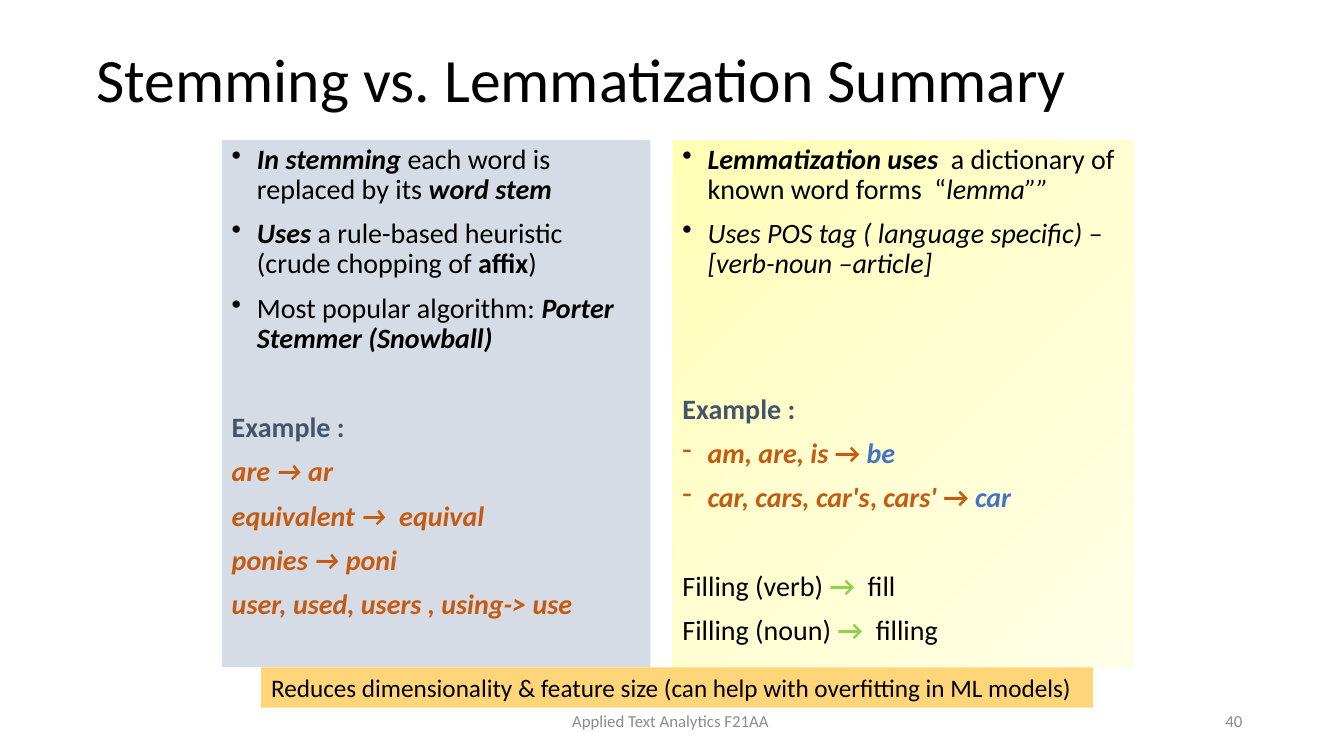
import copy
import pptx
import pptx.dml.color
import pptx.enum.shapes
import pptx.enum.text
import pptx.oxml
import pptx.util
from pptx.oxml.ns import qn

PX = 9144
BLACK, GREY = "000000", "8C8C8C"
SLATE, ORANGE, BLUE, GREEN = "44546A", "C55A11", "4472C4", "92D050"
ALIGN = pptx.enum.text.PP_ALIGN
ANCHOR = pptx.enum.text.MSO_ANCHOR


def color(value):
    return pptx.dml.color.RGBColor.from_string(value)


def add_text(frame, runs, size=20, bullet=None, before=0, spacing=1.0, align=ALIGN.LEFT):
    paragraph = frame.paragraphs[0]
    if paragraph.runs:
        paragraph = frame.add_paragraph()
    paragraph.alignment = align
    paragraph.line_spacing = spacing
    paragraph.space_before = pptx.util.Pt(before)
    if bullet:
        properties = paragraph._p.get_or_add_pPr()
        properties.set("marL", str(25 * PX))
        properties.set("indent", str(-25 * PX))
        mark = pptx.oxml.parse_xml(
            '<a:buChar xmlns:a="http://schemas.openxmlformats.org/drawingml/2006/main"/>')
        mark.set("char", bullet)
        properties.append(mark)
    for text, style, ink in runs:
        run = paragraph.add_run()
        run.text = text
        run.font.name = "Calibri"
        run.font.size = pptx.util.Pt(size)
        run.font.bold = "b" in style
        run.font.italic = "i" in style
        run.font.color.rgb = color(ink)


presentation = pptx.Presentation()
presentation.slide_width = 1333 * PX
presentation.slide_height = 750 * PX
slide = presentation.slides.add_slide(presentation.slide_layouts[6])

labels = [
    ((86, 27, 1006, 109), "Stemming vs. Lemmatization Summary", 44, BLACK, 0.9, ALIGN.LEFT),
    ((442, 695, 450, 40), "Applied Text Analytics F21AA ", 12, GREY, 1.0, ALIGN.CENTER),
    ((942, 695, 300, 40), "40", 12, GREY, 1.0, ALIGN.RIGHT),
]
for place, text, size, ink, spacing, align in labels:
    frame = slide.shapes.add_textbox(*[value * PX for value in place]).text_frame
    frame.word_wrap = True
    frame.vertical_anchor = ANCHOR.MIDDLE
    add_text(frame, [(text, "", ink)], size=size, spacing=spacing, align=align)

stemming = [
    ("•", 10, [("In stemming ", "bi", BLACK), ("each word is replaced by its ", "", BLACK),
               ("word stem", "bi", BLACK)]),
    ("•", 10, [("Uses ", "bi", BLACK), ("a rule-based heuristic (crude chopping of ", "", BLACK),
               ("affix", "b", BLACK), (")", "", BLACK)]),
    ("•", 10, [("Most popular algorithm: ", "", BLACK),
               ("Porter Stemmer (Snowball)", "bi", BLACK)]),
    (None, 42, [("Example :", "b", SLATE)]),
]
for example in ["are → ar", "equivalent →  equival", "ponies → poni",
                "user, used, users , using-> use"]:
    stemming.append((None, 10, [(example, "bi", ORANGE)]))

lemmatization = [
    ("•", 10, [("Lemmatization uses  ", "bi", BLACK),
               ("a dictionary of known word forms  “", "", BLACK), ("lemma””", "i", BLACK)]),
    ("•", 10, [("Uses POS tag ( language specific) –[verb-noun –article]", "i", BLACK)]),
    (None, 82, [("Example :", "b", SLATE)]),
    ("-", 10, [("am, are, is ", "bi", ORANGE), ("→ ", "b", ORANGE), ("be", "bi", BLUE)]),
    ("-", 10, [("car, cars, car's", "bi", ORANGE), (", ", "b", ORANGE),
               ("cars' ", "bi", ORANGE), ("→ ", "b", ORANGE), ("car", "bi", BLUE)]),
    (None, 42, [("Filling (verb) ", "", BLACK), ("→ ", "b", GREEN), (" fill", "", BLACK)]),
    (None, 10, [("Filling (noun)", "", BLACK), (" →  ", "b", GREEN), ("filling", "", BLACK)]),
]
conclusion = [(None, 0, [(
    "Reduces dimensionality & feature size (can help with overfitting in ML models)",
    "", BLACK)])]

panels = [
    ((220, 139, 425, 523), ["D6DCE5"], stemming, 20, 0.9),
    ((667, 139, 457, 523), ["FFFEB5", "FFFED1", "FFFFE8"], lemmatization, 20, 0.9),
    ((259, 662, 825, 40), ["FFD579"], conclusion, 18, 1.0),
]
for place, fills, content, size, spacing in panels:
    panel = slide.shapes.add_shape(
        pptx.enum.shapes.MSO_SHAPE.RECTANGLE, *[value * PX for value in place])
    panel.shadow.inherit = False
    panel.line.fill.background()
    if len(fills) == 1:
        panel.fill.solid()
        panel.fill.fore_color.rgb = color(fills[0])
    else:
        panel.fill.gradient()
        panel.fill.gradient_angle = 315
        stop_list = next(panel.element.iter(qn("a:gsLst")))
        stop_list.insert(1, copy.deepcopy(stop_list[0]))
        for index, stop in enumerate(panel.fill.gradient_stops):
            stop.position = index / (len(fills) - 1)
            stop.color.rgb = color(fills[index])
    frame = panel.text_frame
    frame.word_wrap = True
    frame.vertical_anchor = ANCHOR.TOP
    for bullet, before, runs in content:
        add_text(frame, runs, size=size, bullet=bullet, before=before, spacing=spacing)

presentation.save("out.pptx")
